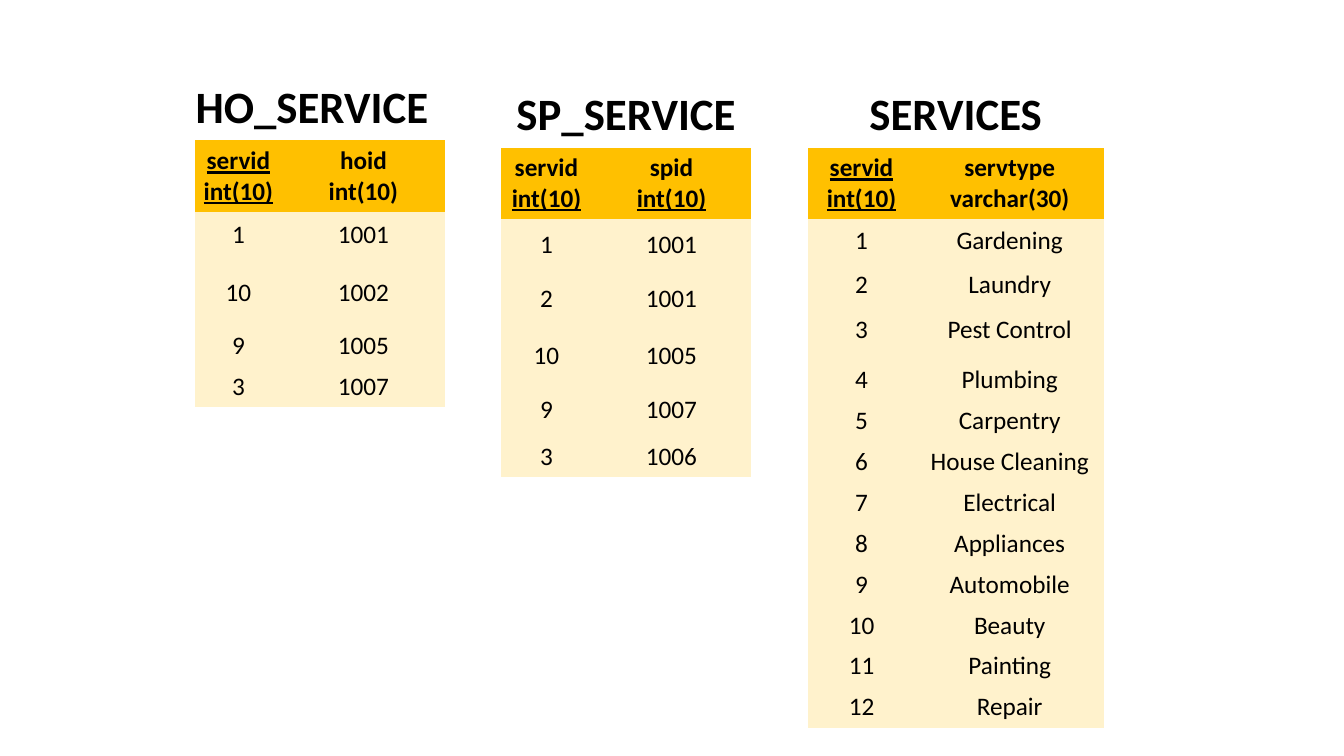
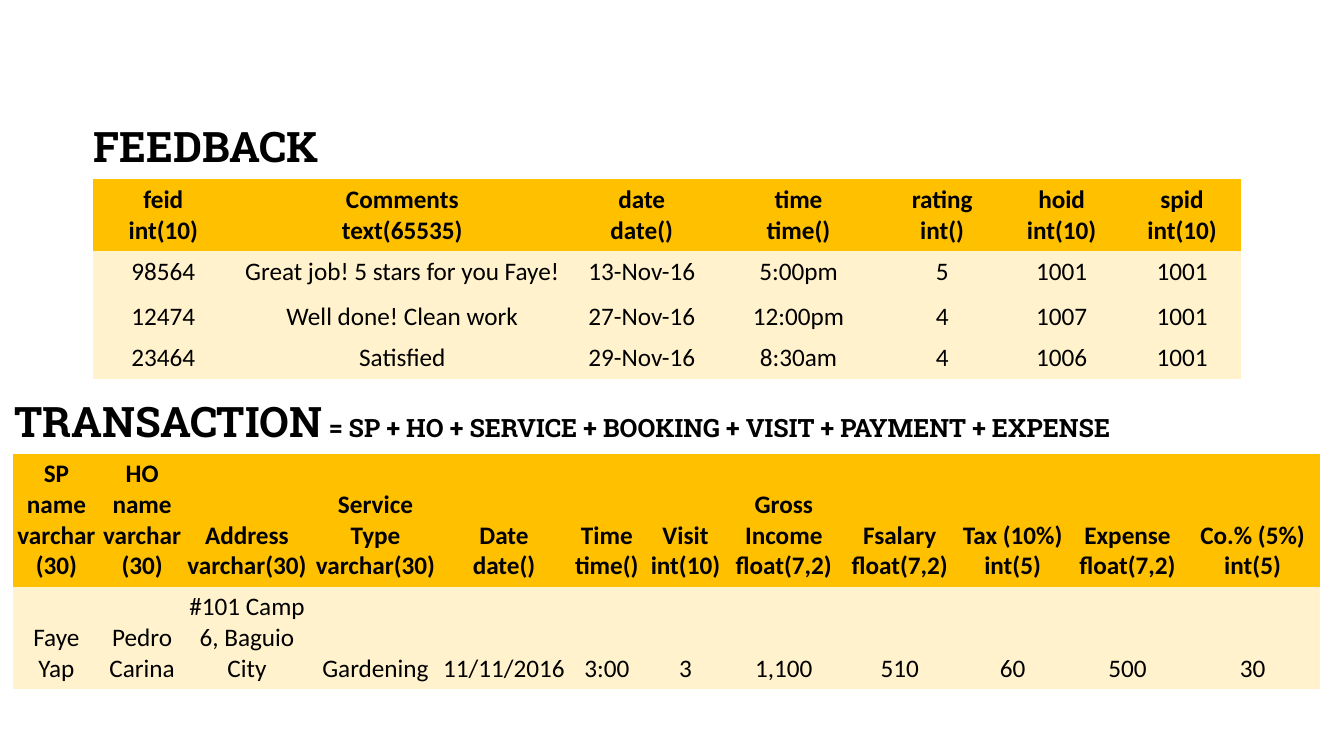
from pptx import Presentation
from pptx.dml.color import RGBColor
from pptx.enum.text import MSO_ANCHOR, PP_ALIGN
from pptx.util import Inches, Pt

# Shared style
BLACK, HEADER_FILL, DATA_FILL = "000000", "FFC000", "FFF2CC"
BODY_FONT, SLAB_FONT = "Calibri", "Roboto Slab"
BODY_SIZE = 18
NO_STYLE_NO_GRID = "{2D5ABB26-0587-4C30-8999-92F81FD0307C}"
LEFT, CENTER = PP_ALIGN.LEFT, PP_ALIGN.CENTER


def color(hex_code):
    return RGBColor.from_string(hex_code)


def write_cell(cell, paragraphs, align=CENTER, fill=None):
    """Each paragraph is a list of runs: (text, size, font, bold, underline)."""
    cell.vertical_anchor = MSO_ANCHOR.BOTTOM
    cell.margin_left = cell.margin_right = Inches(0.01)
    cell.margin_top = cell.margin_bottom = Inches(0.05)
    if fill:
        cell.fill.solid()
        cell.fill.fore_color.rgb = color(fill)
    else:
        cell.fill.background()
    frame = cell.text_frame
    for index, runs in enumerate(paragraphs):
        paragraph = frame.add_paragraph() if index else frame.paragraphs[0]
        paragraph.alignment = align
        for text, size, font, bold, underline in runs:
            run = paragraph.add_run()
            run.text = text
            run.font.size = Pt(size)
            run.font.name = font
            run.font.bold = bold
            run.font.underline = underline
            run.font.color.rgb = color(BLACK)


# Content: header entries pair a field with its type,
# "keys" holds the underlined (column, line) positions of the header
service_slide = [
    {
        "title": [("HO_SERVICE", 32)], "font": BODY_FONT, "align": LEFT,
        "at": (1.93, 0.75), "widths": [0.87, 1.61],
        "heights": [0.61, 0.42, 0.43, 0.57, 0.53, 0.4],
        "header": [("servid", "int(10)"), ("hoid", "int(10)")],
        "keys": {(0, 0), (0, 1)},
        "records": [("1", "1001"), ("10", "1002"), ("9", "1005"), ("3", "1007")],
    },
    {
        "title": [("SP_SERVICE", 32)], "font": BODY_FONT, "align": CENTER,
        "at": (4.97, 0.82), "widths": [0.9, 1.58],
        "heights": [0.55, 0.42, 0.46, 0.53, 0.57, 0.53, 0.47],
        "header": [("servid", "int(10)"), ("spid", "int(10)")],
        "keys": {(0, 1), (1, 1)},
        "records": [("1", "1001"), ("2", "1001"), ("10", "1005"),
                    ("9", "1007"), ("3", "1006")],
    },
    {
        "title": [("SERVICES", 32)], "font": BODY_FONT, "align": CENTER,
        "at": (8.01, 0.82), "widths": [1.07, 1.87],
        "heights": [0.55, 0.42, 0.42, 0.43, 0.45, 0.5, 0.4, 0.36] + [0.4] * 5 + [0.39],
        "header": [("servid", "int(10)"), ("servtype", "varchar(30)")],
        "keys": {(0, 0), (0, 1)},
        "records": [(str(number), service) for number, service in enumerate(
            ["Gardening", "Laundry", "Pest Control", "Plumbing", "Carpentry",
             "House Cleaning", "Electrical", "Appliances", "Automobile",
             "Beauty", "Painting", "Repair"], start=1)],
    },
]

transaction_slide = [
    {
        "title": [("FEEDBACK", 30)], "font": SLAB_FONT, "align": LEFT,
        "at": (0.92, 1.13), "widths": [1.4, 3.34, 1.41, 1.7, 1.15, 1.22, 1.17],
        "heights": [0.61, 0.32, 0.41, 0.45, 0.38],
        "header": [("feid", "int(10)"), ("Comments", "text(65535)"),
                   ("date", "date()"), ("time", "time()"), ("rating", "int()"),
                   ("hoid", "int(10)"), ("spid", "int(10)")],
        "keys": set(),
        "records": [
            ("98564", "Great job! 5 stars for you Faye!", "13-Nov-16", "5:00pm",
             "5", "1001", "1001"),
            ("12474", "Well done! Clean work", "27-Nov-16", "12:00pm",
             "4", "1007", "1001"),
            ("23464", "Satisfied", "29-Nov-16", "8:30am", "4", "1006", "1001"),
        ],
    },
    {
        "title": [("TRANSACTION", 30),
                  (" = SP + HO + SERVICE + BOOKING + VISIT + PAYMENT + EXPENSE", 18)],
        "font": SLAB_FONT, "align": LEFT,
        "at": (0.13, 3.71),
        "widths": [0.86, 0.84, 1.24, 1.31, 1.24, 0.8, 0.76, 1.19, 1.11, 1.13, 1.15, 1.33],
        "heights": [0.79, 0.62, 0.93],
        "header": [("SP name", "varchar(30)"), ("HO name", "varchar(30)"),
                   ("Address", "varchar(30)"), ("Service Type", "varchar(30)"),
                   ("Date", "date()"), ("Time", "time()"), ("Visit", "int(10)"),
                   ("Gross Income", "float(7,2)"), ("Fsalary", "float(7,2)"),
                   ("Tax (10%)", "int(5)"), ("Expense", "float(7,2)"),
                   ("Co.% (5%)", "int(5)")],
        "keys": set(),
        "records": [("Faye Yap", "Pedro Carina", "#101 Camp 6, Baguio City",
                     "Gardening", "11/11/2016", "3:00", "3", "1,100", "510",
                     "60", "500", "30")],
    },
]

presentation = Presentation()
presentation.slide_width = Inches(13.33)
presentation.slide_height = Inches(7.5)

for entities in (service_slide, transaction_slide):
    slide = presentation.slides.add_slide(presentation.slide_layouts[6])
    for entity in entities:
        widths, heights = entity["widths"], entity["heights"]
        left, top = entity["at"]
        table = slide.shapes.add_table(
            len(heights), len(widths), Inches(left), Inches(top),
            Inches(sum(widths)), Inches(sum(heights))).table
        table.first_row = table.horz_banding = False
        table._tbl.tblPr[0].text = NO_STYLE_NO_GRID
        for column, width in zip(table.columns, widths):
            column.width = Inches(width)
        for row, height in zip(table.rows, heights):
            row.height = Inches(height)

        # Title across all columns
        title_cell = table.cell(0, 0)
        title_cell.merge(table.cell(0, len(widths) - 1))
        title_runs = [(text, size, entity["font"], True, False)
                      for text, size in entity["title"]]
        write_cell(title_cell, [title_runs], entity["align"])

        # Field names and types
        for col, field in enumerate(entity["header"]):
            lines = [[(text, BODY_SIZE, BODY_FONT, True, (col, line) in entity["keys"])]
                     for line, text in enumerate(field)]
            write_cell(table.cell(1, col), lines, fill=HEADER_FILL)

        # Records
        for row_index, record in enumerate(entity["records"], start=2):
            for col, value in enumerate(record):
                write_cell(table.cell(row_index, col),
                           [[(value, BODY_SIZE, BODY_FONT, False, False)]],
                           fill=DATA_FILL)

presentation.save("out.pptx")
